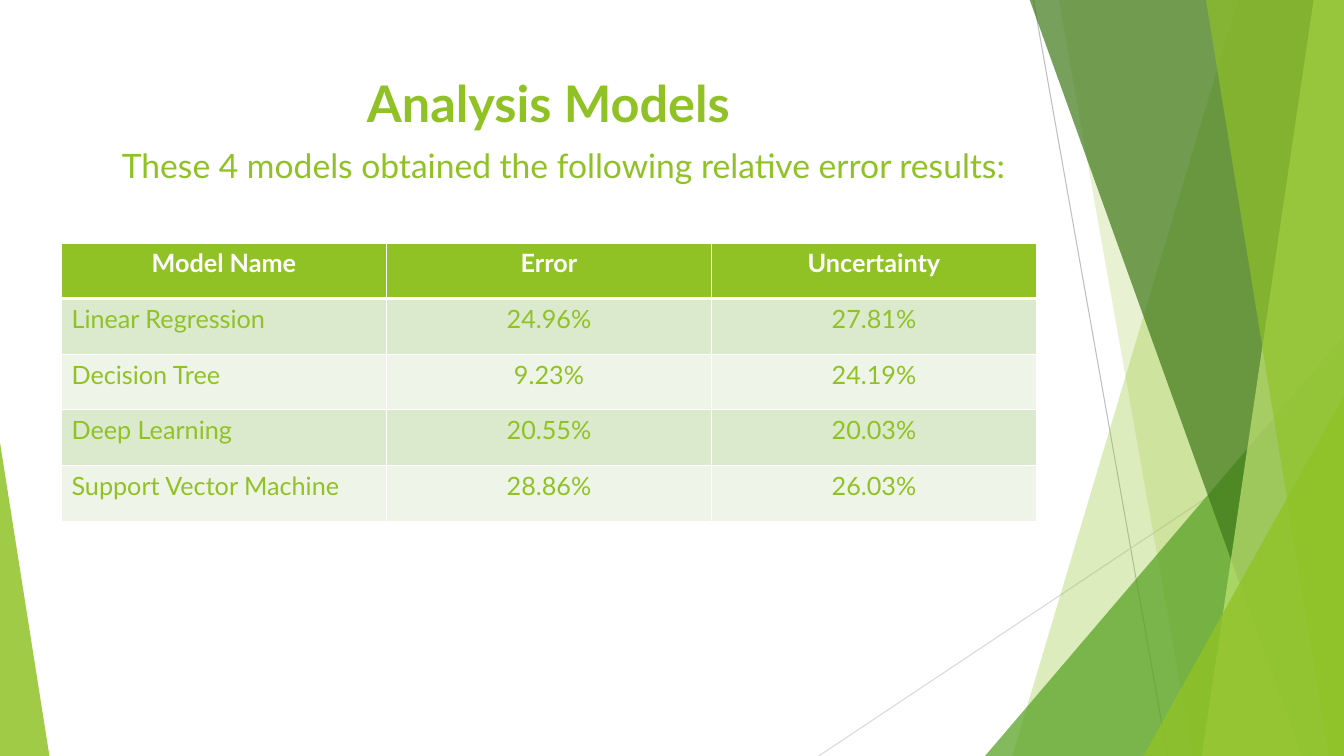
from dataclasses import dataclass

from lxml import etree
from pptx import Presentation
from pptx.dml.color import RGBColor
from pptx.enum import shapes, text
from pptx.oxml import ns
from pptx.util import Inches, Pt


@dataclass(frozen=True)
class Theme:
    font: str = "Lato"
    lime: str = "90C226"
    green: str = "54A021"
    forest: str = "3F7819"
    pale: str = "C0E474"
    white: str = "FFFFFF"
    bands: tuple = ("DBE9CD", "EEF4E8")
    title_size: int = 36
    lead_size: int = 24
    table_size: int = 18


THEME = Theme()
WIDTH, HEIGHT = 13.33, 7.5
TOP = -0.01
CENTER, LEFT = text.PP_ALIGN.CENTER, text.PP_ALIGN.LEFT

GUIDE_LINES = [
    ((10.25, 0), (11.58, HEIGHT), "BFBFBF"),
    ((WIDTH, 4.03), (8.12, HEIGHT), "D9D9D9"),
]
ROWS = [
    ("Model Name", "Error", "Uncertainty"),
    ("Linear Regression", "24.96%", "27.81%"),
    ("Decision Tree", "9.23%", "24.19%"),
    ("Deep Learning", "20.55%", "20.03%"),
    ("Support Vector Machine", "28.86%", "26.03%"),
]


def add_child(parent, tag, **attributes):
    return etree.SubElement(parent, ns.qn(tag), attributes)


def paint(shape, color, opacity):
    """Give a shape a see-through fill with no outline or shadow."""
    shape.shadow.inherit = False
    shape.line.fill.background()
    shape.fill.solid()
    shape.fill.fore_color.rgb = RGBColor.from_string(color)
    tint = shape.fill._xPr.find(".//" + ns.qn("a:srgbClr"))
    add_child(tint, "a:alpha", val=str(opacity * 1000))


def add_guide_line(page, start, end, color):
    ends = [Inches(value) for value in (*start, *end)]
    line = page.shapes.add_connector(shapes.MSO_CONNECTOR.STRAIGHT, *ends)
    line.line.width = Pt(0.75)
    line.line.color.rgb = RGBColor.from_string(color)
    add_child(line._element.spPr, "a:effectLst")


def add_sheet(page, top_x, bottom_x, color, opacity):
    """Add a full-height panel from a slanted left edge to the slide's right edge."""
    corners = [(top_x, TOP), (WIDTH, TOP), (WIDTH, HEIGHT), (bottom_x, HEIGHT)]
    points = [(Inches(x), Inches(y)) for x, y in corners]
    builder = page.shapes.build_freeform(*points[0])
    builder.add_line_segments(points[1:], close=True)
    paint(builder.convert_to_shape(), color, opacity)


def add_corner(page, left, top, width, apex, color, opacity):
    """Add a right triangle standing on the bottom edge; apex 0 is left, 1 is right."""
    frame = [Inches(value) for value in (left, top, width, HEIGHT - top)]
    corner = page.shapes.add_shape(shapes.MSO_SHAPE.ISOSCELES_TRIANGLE, *frame)
    corner.adjustments[0] = apex
    paint(corner, color, opacity)


def add_facets(page):
    for line in GUIDE_LINES:
        add_guide_line(page, *line)
    add_sheet(page, 12.28, 10.04, THEME.lime, 30)
    add_sheet(page, 10.5, 11.83, THEME.lime, 20)
    add_corner(page, 9.77, 3.33, 3.56, 1, THEME.green, 72)
    add_sheet(page, 10.21, 12.91, THEME.forest, 70)
    add_sheet(page, 13.03, 11.92, THEME.pale, 70)
    add_sheet(page, 11.96, 13.18, THEME.lime, 65)
    add_corner(page, 11.34, 3.93, 1.99, 1, THEME.lime, 80)
    add_corner(page, 0, 4.39, 0.49, 0, THEME.lime, 85)


def write(frame, words, size, color, align, bold=False):
    para = frame.paragraphs[0]
    para.alignment = align
    span = para.add_run()
    span.text = words
    formats = {"name": THEME.font, "size": Pt(size), "bold": bold}
    for name, value in formats.items():
        setattr(span.font, name, value)
    span.font.color.rgb = RGBColor.from_string(color)


def add_text(page, bounds, words, size, align, bold=False, indent=0.1):
    box = page.shapes.add_textbox(*[Inches(value) for value in bounds])
    box.text_frame.word_wrap = True
    box.text_frame.margin_left = Inches(indent)
    write(box.text_frame, words, size, THEME.lime, align, bold)


def add_borders(cell, widths):
    properties = cell._tc.get_or_add_tcPr()
    for side, width in widths.items():
        border = add_child(properties, f"a:ln{side}", w=str(Pt(width)))
        fill = add_child(border, "a:solidFill")
        add_child(fill, "a:srgbClr", val=THEME.white)


def add_results_table(page):
    bounds = [Inches(value) for value in (0.61, 2.41, 9.67, 2.76)]
    table = page.shapes.add_table(len(ROWS), len(ROWS[0]), *bounds).table
    for r, row in enumerate(ROWS):
        header = r == 0
        for c, words in enumerate(row):
            cell = table.cell(r, c)
            add_borders(cell, {"L": 1, "R": 1, "T": 3 if r == 1 else 1, "B": 3 if header else 1})
            cell.fill.solid()
            fill = THEME.lime if header else THEME.bands[(r - 1) % 2]
            cell.fill.fore_color.rgb = RGBColor.from_string(fill)
            color = THEME.white if header else THEME.lime
            align = CENTER if header or c else LEFT
            write(cell.text_frame, words, THEME.table_size, color, align, header)


def main():
    deck = Presentation()
    deck.slide_width, deck.slide_height = Inches(WIDTH), Inches(HEIGHT)
    page = deck.slides.add_slide(deck.slide_layouts[6])
    add_facets(page)
    add_text(page, (0.74, 0.67, 9.4, 1.44), "Analysis Models", THEME.title_size, CENTER, bold=True)
    add_text(page, (0.61, 1.39, 9.67, 1.31),
             "These 4 models obtained the following relative error results:",
             THEME.lead_size, text.PP_ALIGN.JUSTIFY, indent=0.6)
    add_results_table(page)
    deck.save("out.pptx")


if __name__ == "__main__":
    main()
